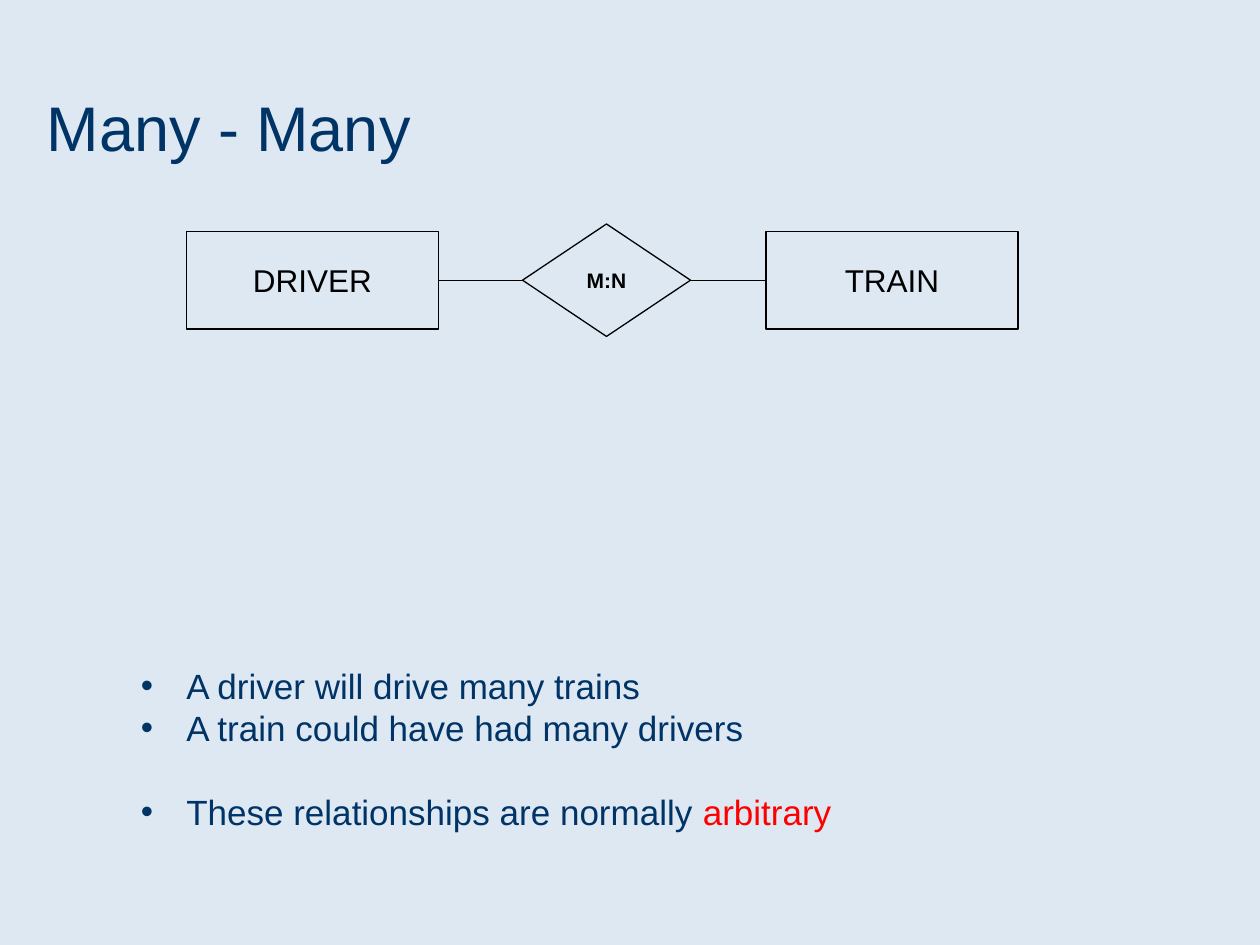
from collections import namedtuple

from lxml.etree import SubElement
from pptx import Presentation
from pptx.dml.color import RGBColor
from pptx.enum.shapes import MSO_CONNECTOR as Connector, MSO_SHAPE as Shape
from pptx.enum.text import MSO_ANCHOR as Anchor, PP_ALIGN as Align
from pptx.oxml.ns import qn
from pptx.util import Inches, Pt

Box = namedtuple("Box", "left top width height")
WIDTH, HEIGHT = Inches(10), Inches(7.5)
NAVY, BLACK, RED, PALE = "003366", "000000", "FF0000", "DEE8F3"
COLUMNS = 99
LEFT_SIDE, RIGHT_SIDE = 1, 3
ENTITIES = [
    (Shape.RECTANGLE, "DRIVER", 0, 30, 0.87, {"size": Pt(18)}),
    (Shape.DIAMOND, "M:N", 40, 20, 1, {"size": Pt(12), "bold": True}),
    (Shape.RECTANGLE, "TRAIN", 69, 30, 0.87, {"size": Pt(18)}),
]
BULLETS = [
    (0, [("A driver will drive many trains", NAVY)]),
    (0, [("A train could have had many drivers", NAVY)]),
    (24, [("These relationships are normally ", NAVY), ("arbitrary", RED)]),
]


def share(left, top, width, height):
    """Return a box given as shares of the slide's size."""
    return Box(int(left * WIDTH), int(top * HEIGHT), int(width * WIDTH), int(height * HEIGHT))


def paint(color_format, value):
    """Apply a hex colour to a colour format."""
    color_format.rgb = RGBColor.from_string(value)


def apply(target, values):
    """Set each named attribute on the target."""
    for name, value in values.items():
        setattr(target, name, value)


def add_run(paragraph, text, color, **values):
    """Add a formatted Arial run to a paragraph."""
    run = paragraph.add_run()
    run.text = text
    apply(run.font, {"name": "Arial", **values})
    paint(run.font.color, color)


def add_title(slide, box, text):
    """Place the title placeholder in its box."""
    title = slide.shapes.title
    apply(title, box._asdict())
    title.text_frame.vertical_anchor = Anchor.BOTTOM
    paragraph = title.text_frame.paragraphs[0]
    apply(paragraph, {"alignment": Align.LEFT, "line_spacing": 0.9})
    add_run(paragraph, text, NAVY, size=Pt(36), bold=False)


def add_entity(slide, box, kind, text, font):
    """Draw an outlined shape with a centred label."""
    shape = slide.shapes.add_shape(kind, *box)
    shape.shadow.inherit = False
    shape.fill.background()
    paint(shape.line.color, BLACK)
    shape.line.width = Pt(0.75)
    apply(shape.text_frame, {"vertical_anchor": Anchor.MIDDLE, "word_wrap": False})
    paragraph = shape.text_frame.paragraphs[0]
    paragraph.alignment = Align.CENTER
    add_run(paragraph, text, BLACK, **font)
    return shape


def join(slide, start, end):
    """Connect the right side of one shape to the left side of the next."""
    connector = slide.shapes.add_connector(Connector.STRAIGHT, 0, 0, 0, 0)
    connector.begin_connect(start, RIGHT_SIDE)
    connector.end_connect(end, LEFT_SIDE)
    paint(connector.line.color, BLACK)
    connector.line.width = Pt(0.75)
    SubElement(connector._element.spPr, qn("a:effectLst"))


def add_relationship(slide, box):
    """Lay the entities on a column grid, centred in height, and join them."""
    column = box.width / COLUMNS
    shapes = []
    for kind, text, start, span, portion, font in ENTITIES:
        height = int(box.height * portion)
        place = Box(int(box.left + start * column), box.top + (box.height - height) // 2,
                    int(span * column), height)
        shapes.append(add_entity(slide, place, kind, text, font))
    for start, end in zip(shapes, shapes[1:]):
        join(slide, start, end)


def add_bullets(slide, box):
    """Write the bulleted notes at the bottom of the box."""
    frame = slide.shapes.add_textbox(*box).text_frame
    apply(frame, {"word_wrap": True, "vertical_anchor": Anchor.BOTTOM})
    for index, (gap, runs) in enumerate(BULLETS):
        paragraph = frame.add_paragraph() if index else frame.paragraphs[0]
        apply(paragraph, {"line_spacing": Pt(24), "space_before": Pt(gap)})
        properties = paragraph._p.get_or_add_pPr()
        properties.set("marL", str(Inches(0.36)))
        properties.set("indent", str(-Inches(0.36)))
        SubElement(properties, qn("a:buFont")).set("typeface", "Arial")
        SubElement(properties, qn("a:buChar")).set("char", "•")
        for text, color in runs:
            add_run(paragraph, text, color, size=Pt(20))


def main():
    """Build the slide and save it."""
    presentation = Presentation()
    apply(presentation, {"slide_width": WIDTH, "slide_height": HEIGHT})
    slide = presentation.slides.add_slide(presentation.slide_layouts[5])
    slide.background.fill.solid()
    paint(slide.background.fill.fore_color, PALE)
    add_title(slide, share(0.027, 0.037, 0.851, 0.145), "Many - Many")
    add_bullets(slide, share(0.102, 0.416, 0.831, 0.471))
    add_relationship(slide, share(0.148, 0.237, 0.66, 0.119))
    presentation.save("out.pptx")


if __name__ == "__main__":
    main()
